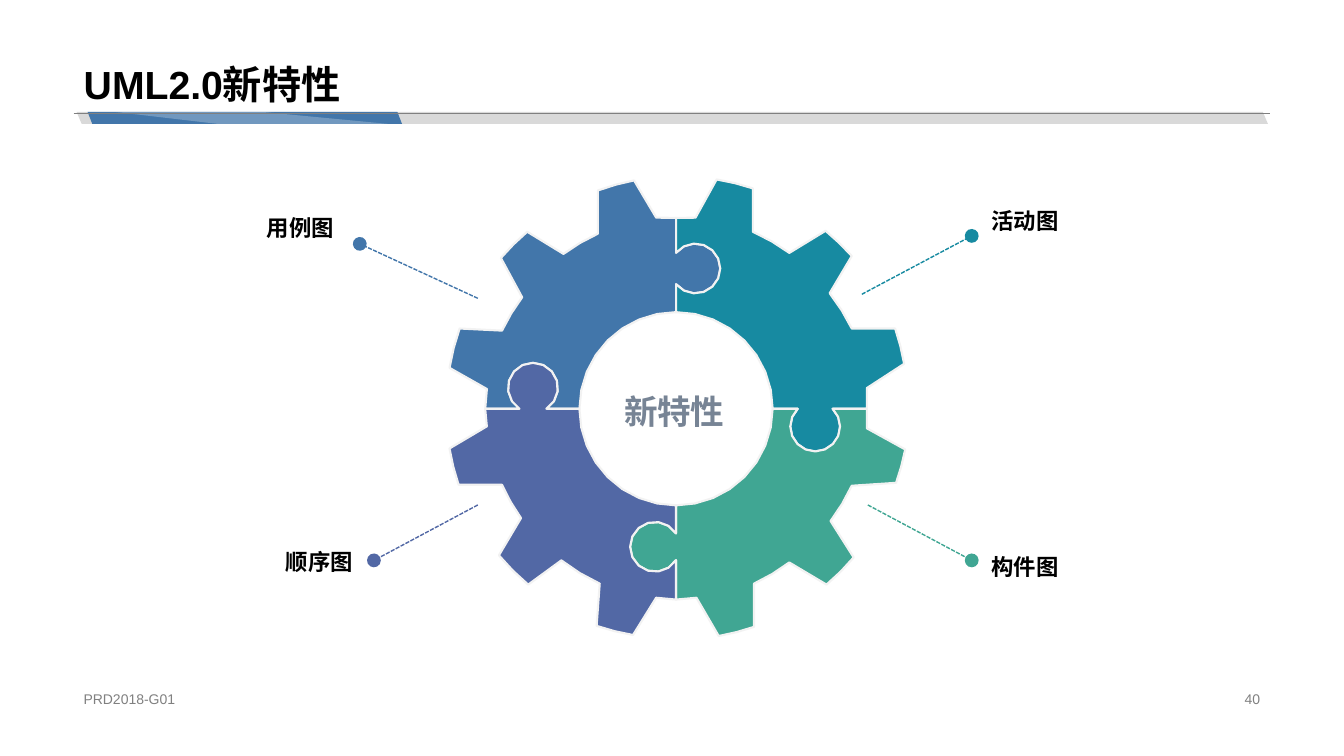
from math import asin, atan2, cos, hypot, pi, remainder, sin

from lxml.etree import SubElement
from pptx import Presentation
from pptx.dml.color import RGBColor
from pptx.enum.dml import MSO_LINE
from pptx.enum.shapes import MSO_CONNECTOR, MSO_SHAPE
from pptx.enum.text import MSO_ANCHOR, MSO_AUTO_SIZE, PP_ALIGN
from pptx.oxml.ns import qn
from pptx.util import Pt

# Content
COLORS = {
    "blue": "4276AA", "teal": "178AA1", "green": "40A693", "indigo": "5268A5",
    "band": "D9D9D9", "rule": "808080", "outline": "F2F2F2", "hub": "778495",
    "black": "000000", "white": "FFFFFF",
}
TITLE = "UML2.0新特性"
TITLE_BOX = (52.6, 0, 854.6, 80.6)
LEFT, CENTER, RIGHT = PP_ALIGN.LEFT, PP_ALIGN.CENTER, PP_ALIGN.RIGHT

# text, box, alignment, size, color, bold, wrap, letter spacing in 1/100 pt
TEXTS = [
    ("PRD2018-G01", (52.6, 491, 326, 16.6), LEFT, 10, "rule", False, True, 0),
    ("40", (678.2, 491, 229, 16.6), RIGHT, 10, "rule", False, True, 0),
    ("新特性", (416.2, 275.8, 131, 36), CENTER, 24, "hub", True, False, -20),
    ("用例图", (52.6, 149.8, 193, 25.2), RIGHT, 16, "black", True, False, 0),
    ("顺序图", (52.6, 388.8, 206.6, 25.2), RIGHT, 16, "black", True, False, 0),
    ("活动图", (701.3, 144.7, 206.6, 25.2), LEFT, 16, "black", True, False, 0),
    ("构件图", (701.3, 392, 206.6, 25.2), LEFT, 16, "black", True, False, 0),
]

# box, skew, color of the two bars under the title
BARS = [((54.7, 79.9, 851, 8.6), 0.424, "band"), ((62.6, 79.9, 224.6, 8.6), 0.388, "blue")]
SHEEN = [(277.2, 88.5), (187.2, 79.9), (82.1, 79.9), (155.5, 88.5)]
TITLE_RULE = (52.6, 80.6, 907.2, 80.6)

# Gear: pieces clockwise from the left seam, each with three four-point teeth
HUB = (482.9, 292)
ROOT_RADIUS, HOLE_RADIUS, KNOB_RADIUS = 136.3, 69, 17.8
PIECES = [
    ("blue", [
        [(347.8, 277.9), (321.1, 262.8), (328.3, 234.7), (358.6, 236.2)],
        [(373, 212.4), (357.8, 184.3), (376.6, 165.6), (402.5, 181.4)],
        [(427, 167), (427, 136.1), (452.9, 128.9), (468.7, 155.5)]]),
    ("teal", [
        [(496.8, 155.5), (511.9, 128.2), (537.8, 134.6), (537.8, 165.6)],
        [(563.8, 180.7), (589.7, 164.9), (608.4, 182.9), (592.6, 209.5)],
        [(608.4, 234.7), (639.4, 234.7), (645.8, 259.9), (619.2, 277.2)]]),
    ("green", [
        [(619.2, 306), (646.6, 321.1), (640.1, 344.9), (608.4, 347)],
        [(593.3, 372.2), (609.8, 398.2), (590.4, 417.6), (563.8, 401.8)],
        [(538.6, 416.9), (538.6, 447.8), (513.4, 454.3), (497.5, 427)]]),
    ("indigo", [
        [(468.7, 427), (452.2, 453.6), (426.2, 447.1), (428.4, 416.9)],
        [(401, 400.3), (377.3, 417.6), (356.4, 396.7), (372.2, 370.1)],
        [(358.6, 346.3), (327.6, 346.3), (321.1, 320.4), (347.8, 304.6)]]),
]
# Knob centre at each seam: distance from the hub, offset clockwise
KNOBS = [(102.2, 15), (100.2, 13.8), (99.4, 12.7), (98.6, 15)]
POINTERS = [
    ("teal", (615.6, 210.2, 694.1, 168.5)), ("green", (619.9, 360.7, 694.1, 400.3)),
    ("indigo", (341.3, 360.7, 267.1, 400.3)), ("blue", (341.3, 213.1, 257, 174.2)),
]


def color(name):
    return RGBColor.from_string(COLORS[name])


def points(values):
    return [Pt(value) for value in values]


def arc(start, end, steps=2):
    """Points after start up to end, turning around the hub."""
    (x1, y1), (x2, y2) = [(x - HUB[0], y - HUB[1]) for x, y in (start, end)]
    angle, radius = atan2(y1, x1), hypot(x1, y1)
    sweep = remainder(atan2(y2, x2) - angle, 2 * pi)
    growth = hypot(x2, y2) - radius
    turns = [step / steps for step in range(1, steps + 1)]
    return [(HUB[0] + (radius + growth * turn) * cos(angle + sweep * turn),
             HUB[1] + (radius + growth * turn) * sin(angle + sweep * turn)) for turn in turns]


def seam(index, steps=12):
    """Outer end, knob outline, inner end of one seam."""
    index %= 4
    distance, offset = KNOBS[index]
    neck = asin(offset / KNOB_RADIUS)
    angles = [-neck + (pi + 2 * neck) * step / steps for step in range(steps + 1)]
    local = [(ROOT_RADIUS, 0)]
    local += [(distance + KNOB_RADIUS * cos(a), offset + KNOB_RADIUS * sin(a)) for a in angles]
    local.append((HOLE_RADIUS, 0))
    turn = pi + index * pi / 2
    return [(HUB[0] + u * cos(turn) - v * sin(turn),
             HUB[1] + u * sin(turn) + v * cos(turn)) for u, v in local]


def piece_outline(index, teeth):
    first, last = seam(index), seam(index + 1)
    outline = [first[0]]
    for tooth, (root_in, tip_in, tip_out, root_out) in enumerate(teeth):
        outline += arc(outline[-1], root_in, 2 if tooth else 1)
        outline += [tip_in] + arc(tip_in, tip_out) + [root_out]
    outline += last
    return outline + arc(last[-1], first[-1], 8) + first[-2:0:-1]


def paint(shape, fill, line=None):
    shape.shadow.inherit = False
    shape.fill.solid()
    shape.fill.fore_color.rgb = color(fill)
    if line:
        shape.line.color.rgb = color(line)
        shape.line.width = Pt(1.5)
    else:
        shape.line.fill.background()


def add_outline(page, corners, fill, line=None):
    start, *rest = [points(corner) for corner in corners]
    builder = page.shapes.build_freeform(*start)
    builder.add_line_segments(rest, close=True)
    shape = builder.convert_to_shape()
    paint(shape, fill, line)
    return shape


def add_line(page, ends, name, width):
    line = page.shapes.add_connector(MSO_CONNECTOR.STRAIGHT, *points(ends))
    line.line.color.rgb = color(name)
    line.line.width = Pt(width)
    SubElement(line._element.spPr, qn("a:effectLst"))
    return line


def write(box, text, formats, name, align, spacing=0, **frame_formats):
    frame = box.text_frame
    for key, value in {"auto_size": MSO_AUTO_SIZE.NONE, **frame_formats}.items():
        setattr(frame, key, value)
    para = frame.paragraphs[0]
    para.alignment = align
    span = para.add_run()
    span.text = text
    for key, value in {"name": "Arial", **formats}.items():
        setattr(span.font, key, value)
    span.font.color.rgb = color(name)
    if spacing:
        span._r.get_or_add_rPr().set("spc", str(spacing))
    return para


def main():
    deck = Presentation()
    deck.slide_width, deck.slide_height = Pt(960), Pt(540)
    page = deck.slides.add_slide(deck.slide_layouts[5])

    # Title and the bars below it
    title = page.shapes.title
    title.left, title.top, title.width, title.height = points(TITLE_BOX)
    para = write(title, TITLE, {"size": Pt(28), "bold": True}, "black", LEFT,
                 vertical_anchor=MSO_ANCHOR.BOTTOM, word_wrap=True)
    para.line_spacing = 0.9
    for place, skew, name in BARS:
        bar = page.shapes.add_shape(MSO_SHAPE.PARALLELOGRAM, *points(place))
        bar.adjustments[0] = skew
        bar._element.spPr.xfrm.set("flipH", "1")
        paint(bar, name)
    sheen = add_outline(page, SHEEN, "white")
    SubElement(sheen._element.spPr.find(".//" + qn("a:srgbClr")), qn("a:alpha"), val="25000")
    add_line(page, TITLE_RULE, "rule", 0.25)

    # Gear pieces
    for index, (name, teeth) in enumerate(PIECES):
        add_outline(page, piece_outline(index, teeth), name, "outline")

    # Dashed pointers with round ends
    for name, ends in POINTERS:
        pointer = add_line(page, ends, name, 1)
        pointer.line.dash_style = MSO_LINE.SQUARE_DOT
        SubElement(pointer.line._get_or_add_ln(), qn("a:tailEnd"), type="oval", w="lg", len="lg")

    # Labels and footer
    for text, place, align, size, name, bold, wrap, spacing in TEXTS:
        box = page.shapes.add_textbox(*points(place))
        write(box, text, {"size": Pt(size), "bold": bold}, name, align, spacing,
              vertical_anchor=MSO_ANCHOR.MIDDLE, word_wrap=wrap)

    deck.save("out.pptx")


if __name__ == "__main__":
    main()
